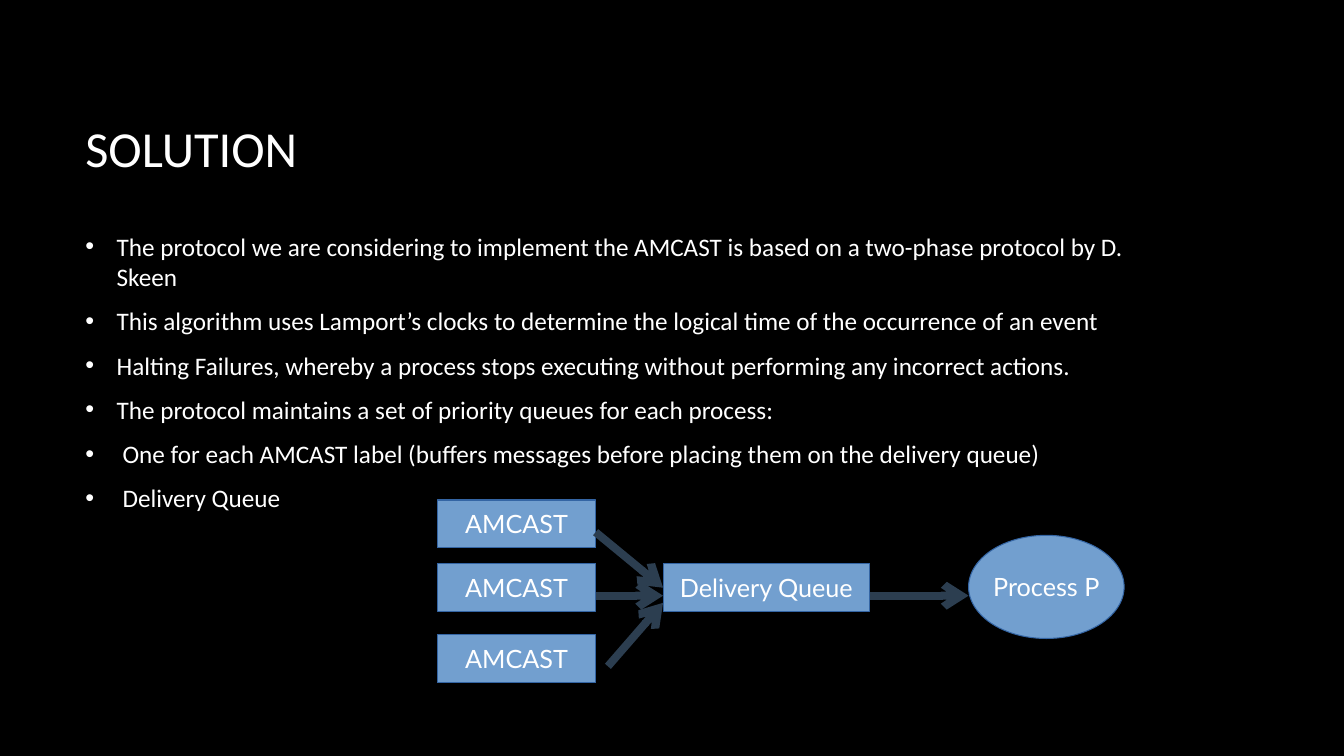
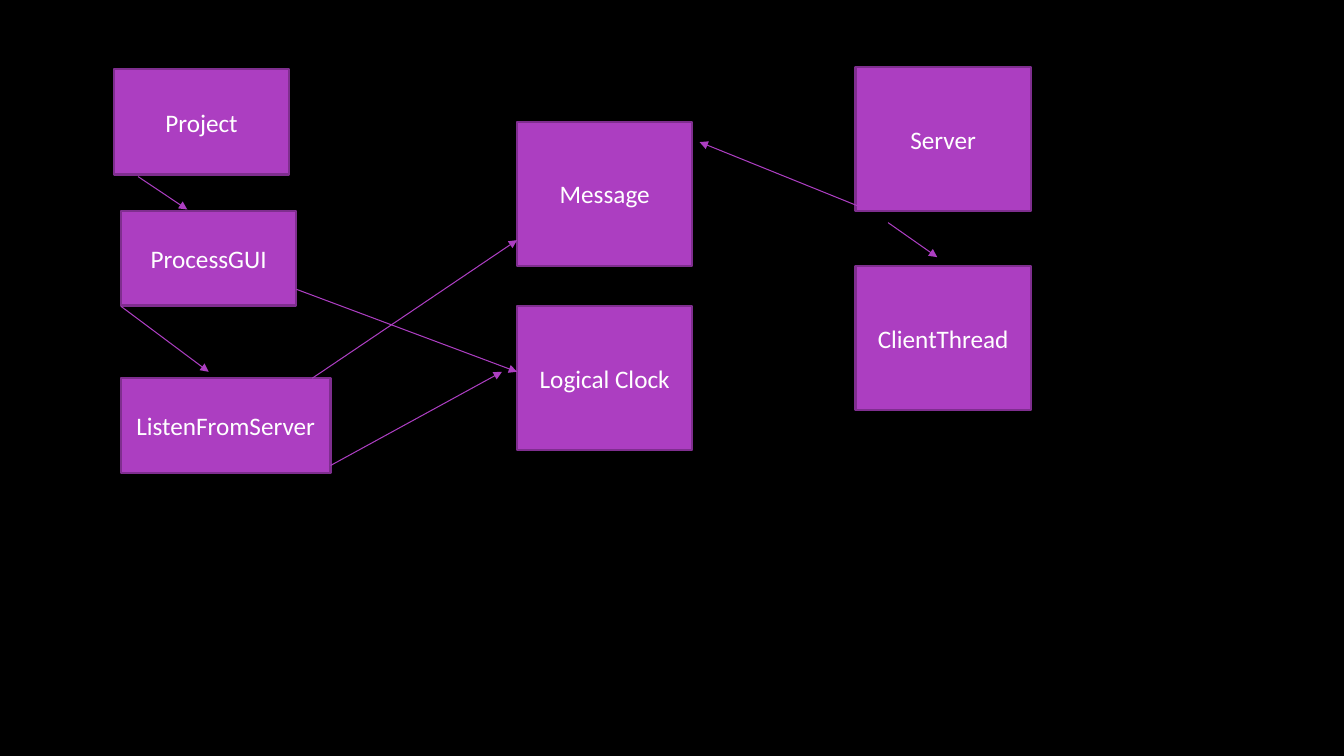
"""Two dark slides: the AMCAST solution and the class relations behind it."""
from lxml import etree
from pptx import Presentation
from pptx.dml.color import RGBColor
from pptx.enum.shapes import MSO_CONNECTOR, MSO_SHAPE
from pptx.enum.text import MSO_ANCHOR, PP_ALIGN
from pptx.oxml.ns import qn
from pptx.util import Cm, Pt

RECTANGLE, OVAL = MSO_SHAPE.RECTANGLE, MSO_SHAPE.OVAL
STRAIGHT = MSO_CONNECTOR.STRAIGHT
TOP, MIDDLE = MSO_ANCHOR.TOP, MSO_ANCHOR.MIDDLE
CENTER, LEFT = PP_ALIGN.CENTER, PP_ALIGN.LEFT

BLACK = RGBColor(0x00, 0x00, 0x00)
WHITE = RGBColor(0xFF, 0xFF, 0xFF)
BLUE = RGBColor(0x72, 0x9F, 0xCF)
BLUE_EDGE = RGBColor(0x34, 0x65, 0xA4)
SLATE = RGBColor(0x2C, 0x3E, 0x50)
PURPLE = RGBColor(0xAC, 0x3E, 0xC1)
PURPLE_EDGE = RGBColor(0x7F, 0x2E, 0x8F)
HEADING_FONT, QUEUE_FONT = "Calibri", "Lato"

TITLE = "SOLUTION"
TEXT_LEFT, TEXT_WIDTH = 1.9, 28.14
HANGING, SUB_HANGING = 0.79, 0.94
POINTS = [
    ("The protocol we are considering to implement the AMCAST is based on a "
     "two-phase protocol by D. Skeen", HANGING),
    ("This algorithm uses Lamport’s clocks to determine the logical time of "
     "the occurrence of an event", HANGING),
    ("Halting Failures, whereby a process stops executing without performing "
     "any incorrect actions.", HANGING),
    ("The protocol maintains a set of priority queues for each process:", HANGING),
    ("One for each AMCAST label (buffers messages before placing them on the "
     "delivery queue)", SUB_HANGING),
    ("Delivery Queue", SUB_HANGING),
]

LABEL_TOPS = [12.6, 14.2, 16]
QUEUE_NODES = [("AMCAST", RECTANGLE, (11.02, top, 4, 1.2)) for top in LABEL_TOPS] + [
    ("Delivery Queue", RECTANGLE, (16.71, 14.2, 5.21, 1.2)),
    ("Process P", OVAL, (24.41, 13.49, 3.92, 2.6)),
]
QUEUE_ARROWS = [
    (15.01, 13.41, 16.71, 14.81),
    (15.01, 15.01, 16.71, 15.01),
    (15.32, 16.79, 16.71, 15.19),
    (21.92, 15.01, 24.41, 15.01),
]

CLASS_WIDTH, TALL, SHORT = 4.42, 3.63, 2.39
CLASS_NODES = [
    ("Message", (13.03, 3.07, CLASS_WIDTH, TALL)),
    ("Logical Clock", (13.03, 7.72, CLASS_WIDTH, TALL)),
    ("Project", (2.87, 1.75, CLASS_WIDTH, 2.65)),
    ("Server", (21.56, 1.7, CLASS_WIDTH, TALL)),
    ("ProcessGUI", (3.05, 5.31, CLASS_WIDTH, SHORT)),
    ("ListenFromServer", (3.05, 9.53, 5.28, SHORT)),
    ("ClientThread", (21.56, 6.71, CLASS_WIDTH, TALL)),
]
CLASS_ARROWS = [
    (22.38, 5.61, 23.62, 6.48),
    (3.05, 7.72, 5.26, 9.37),
    (3.48, 4.45, 4.72, 5.28),
    (7.87, 9.53, 13.03, 6.05),
    (7.47, 7.29, 13.03, 9.37),
    (8.33, 11.73, 12.65, 9.37),
    (21.72, 5.23, 17.63, 3.58),
]


def in_cm(lengths):
    return [Cm(length) for length in lengths]


def style(paragraph, font_name, size, align):
    paragraph.alignment = align
    paragraph.font.name = font_name
    paragraph.font.size = Pt(size)
    paragraph.font.color.rgb = WHITE


def add_bullet(paragraph, hanging):
    properties = paragraph._p.get_or_add_pPr()
    properties.set("marL", str(Cm(hanging)))
    properties.set("indent", str(-Cm(hanging)))
    paragraph.space_after = Pt(10)
    etree.SubElement(properties, qn("a:buFont")).set("typeface", "Arial")
    etree.SubElement(properties, qn("a:buChar")).set("char", "•")


def add_text(slide, box, anchor):
    frame = slide.shapes.add_textbox(*in_cm(box)).text_frame
    frame.word_wrap = True
    frame.vertical_anchor = anchor
    return frame


def add_node(slide, label, kind, box, fill, edge, edge_width, font_name):
    node = slide.shapes.add_shape(kind, *in_cm(box))
    node.shadow.inherit = False
    node.fill.solid()
    node.fill.fore_color.rgb = fill
    node.line.color.rgb = edge
    node.line.width = Pt(edge_width)
    frame = node.text_frame
    frame.word_wrap = False
    frame.vertical_anchor = MIDDLE
    frame.text = label
    style(frame.paragraphs[0], font_name, 18, CENTER)


def add_arrow(slide, ends, color, width, head):
    arrow = slide.shapes.add_connector(STRAIGHT, *in_cm(ends))
    arrow.line.color.rgb = color
    arrow.line.width = Pt(width)
    properties = arrow._element.spPr
    etree.SubElement(properties.find(qn("a:ln")), qn("a:tailEnd")).set("type", head)
    etree.SubElement(properties, qn("a:effectLst"))


def build_solution(slide):
    title = add_text(slide, (TEXT_LEFT, 1.7, TEXT_WIDTH, 4.04), MIDDLE)
    title.text = TITLE
    style(title.paragraphs[0], HEADING_FONT, 36, LEFT)

    body = add_text(slide, (TEXT_LEFT, 5.7, TEXT_WIDTH, 7.6), TOP)
    body.text = "\n".join(point for point, _ in POINTS)
    for paragraph, (_, hanging) in zip(body.paragraphs, POINTS):
        add_bullet(paragraph, hanging)
        style(paragraph, HEADING_FONT, 18, LEFT)

    for label, kind, box in QUEUE_NODES:
        add_node(slide, label, kind, box, BLUE, BLUE_EDGE, 0, QUEUE_FONT)
    for ends in QUEUE_ARROWS:
        add_arrow(slide, ends, SLATE, 5.67, "arrow")


def build_classes(slide):
    for label, box in CLASS_NODES:
        add_node(slide, label, RECTANGLE, box, PURPLE, PURPLE_EDGE, 1.5, HEADING_FONT)
    for ends in CLASS_ARROWS:
        add_arrow(slide, ends, PURPLE, 0.75, "triangle")


def main():
    deck = Presentation()
    deck.slide_width, deck.slide_height = Cm(33.87), Cm(19.05)
    backdrop = deck.slide_master.background.fill
    backdrop.solid()
    backdrop.fore_color.rgb = BLACK
    for build in (build_solution, build_classes):
        build(deck.slides.add_slide(deck.slide_layouts[6]))
    deck.save("out.pptx")


if __name__ == "__main__":
    main()
